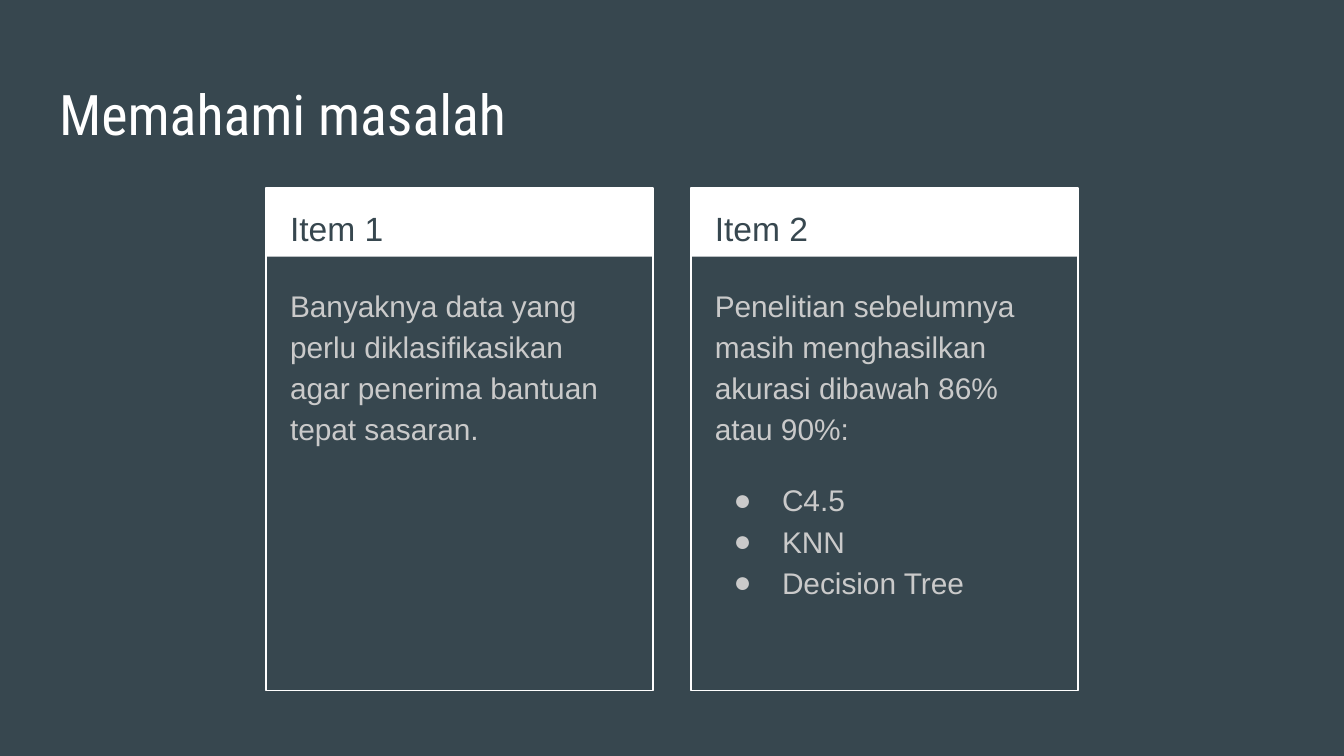
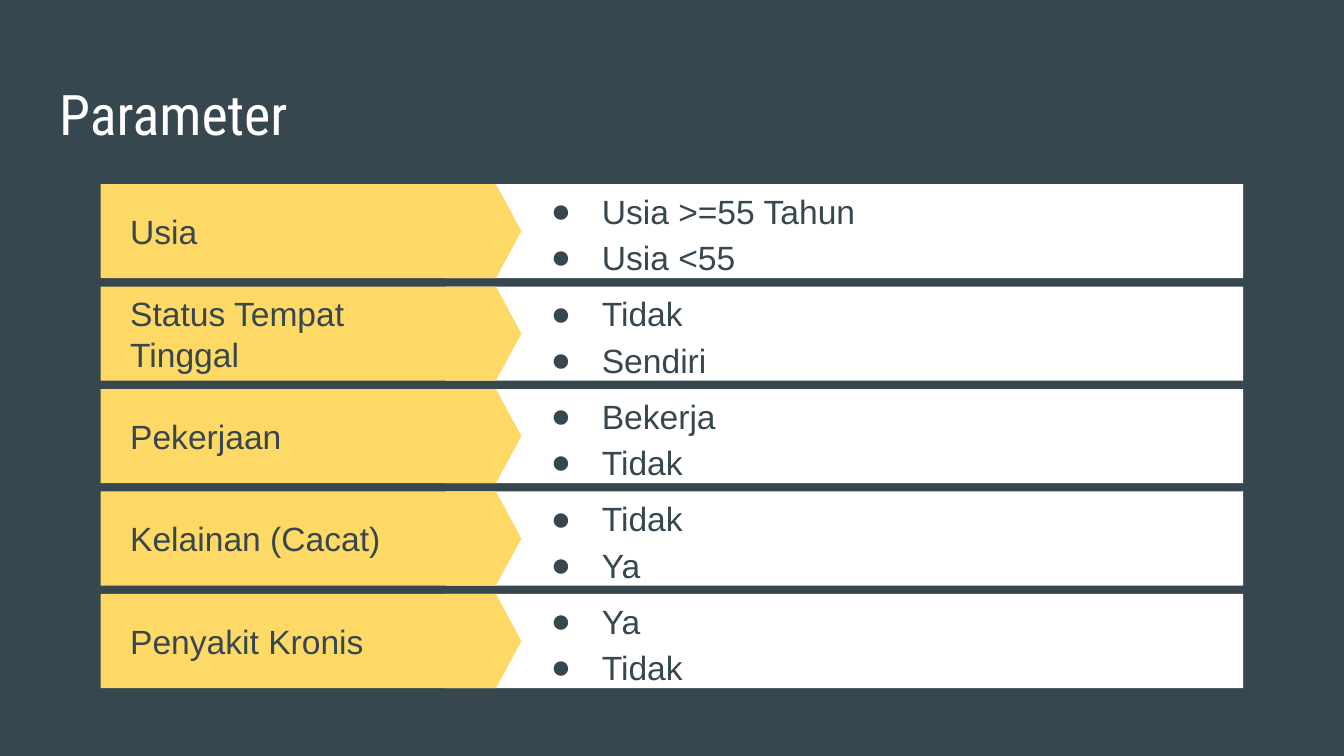
from dataclasses import dataclass

from lxml.etree import SubElement
from pptx import Presentation
from pptx.dml.color import RGBColor
from pptx.enum.shapes import MSO_SHAPE
from pptx.enum.text import MSO_ANCHOR, MSO_AUTO_SIZE, PP_ALIGN
from pptx.oxml.ns import qn
from pptx.util import Inches, Pt

# Shared look
COLORS = {"slate": "37474F", "white": "FFFFFF", "gray": "CACACA", "gold": "FFD966"}
HEAD, BODY = "Roboto Condensed", "Arial"
INSET = Inches(0.1)
WIDTH = Inches(10)
HEIGHT = WIDTH * 9 // 16

# Grids, in inches
CARD_X, CARD_STEP, CARD_Y, CARD_W = 1.98, 3.16, 1.4, 2.88
ROW_Y, ROW_H = 1.37, 0.7
ROW_STEP = (4.42 - ROW_Y) / 4


@dataclass
class Style:
    size: int
    color: str
    font: str = BODY
    space: float = 1.15
    hang: float = 0.38


@dataclass
class Card:
    head: str
    text: str
    items: tuple[str, ...] = ()


@dataclass
class Row:
    label: str
    items: tuple[str, ...]


TITLE = Style(30, "white", HEAD, 1.0)
CARD_HEAD = Style(18, "slate")
CARD_TEXT = Style(16, "gray", hang=0.36)
LABEL = Style(18, "slate", space=1.0)
VALUE = Style(18, "slate")

CARDS = [
    Card("Item 1", "Banyaknya data yang perlu diklasifikasikan agar penerima bantuan tepat sasaran."),
    Card("Item 2", "Penelitian sebelumnya masih menghasilkan akurasi dibawah 86% atau 90%:",
         ("C4.5", "KNN", "Decision Tree")),
]
ROWS = [
    Row("Usia", ("Usia >=55 Tahun", "Usia <55")),
    Row("Status Tempat Tinggal", ("Tidak", "Sendiri")),
    Row("Pekerjaan", ("Bekerja", "Tidak")),
    Row("Kelainan (Cacat)", ("Tidak", "Ya")),
    Row("Penyakit Kronis", ("Ya", "Tidak")),
]


def color(name: str) -> RGBColor:
    return RGBColor.from_string(COLORS[name])


def set_bullet(para, style: Style) -> None:
    props = para._p.get_or_add_pPr()
    props.set("marL", str(Inches(0.5)))
    props.set("indent", str(-Inches(style.hang)))
    tint = SubElement(props, qn("a:buClr"))
    SubElement(tint, qn("a:srgbClr"), val=COLORS[style.color])
    SubElement(props, qn("a:buFont"), typeface=style.font)
    SubElement(props, qn("a:buChar"), char="●")


def write(frame, style: Style, lines=(), items=(), anchor=MSO_ANCHOR.TOP) -> None:
    """Fill a frame with plain lines, then bulleted items."""
    frame.word_wrap = True
    frame.auto_size = MSO_AUTO_SIZE.NONE
    frame.vertical_anchor = anchor
    frame.margin_left = frame.margin_right = INSET
    frame.margin_top = frame.margin_bottom = INSET
    frame.text = "\n".join((*lines, *items))
    for i, para in enumerate(frame.paragraphs):
        para.alignment = PP_ALIGN.LEFT
        para.line_spacing = style.space
        para.space_before = Pt(16 if lines and i == len(lines) else 0)
        para.space_after = Pt(0)
        if i >= len(lines):
            set_bullet(para, style)
        for run in para.runs:
            run.font.name = style.font
            run.font.size = Pt(style.size)
            run.font.color.rgb = color(style.color)


def add_text(slide, x: float, y: float, w: float, h: float, style: Style, **text) -> None:
    box = slide.shapes.add_textbox(Inches(x), Inches(y), Inches(w), Inches(h))
    write(box.text_frame, style, **text)


def add_block(slide, x: float, y: float, w: float, h: float,
              fill: str = "", line: str = "", kind=MSO_SHAPE.RECTANGLE):
    block = slide.shapes.add_shape(kind, Inches(x), Inches(y), Inches(w), Inches(h))
    block.shadow.inherit = False
    if fill:
        block.fill.solid()
        block.fill.fore_color.rgb = color(fill)
    else:
        block.fill.background()
    if line:
        block.line.color.rgb = color(line)
        block.line.width = Pt(0.75)
    else:
        block.line.fill.background()
    return block


def add_slide(prs, title: str):
    slide = prs.slides.add_slide(prs.slide_layouts[5])
    head = slide.shapes.title
    head.left, head.top = Inches(0.34), Inches(0.49)
    head.width, head.height = Inches(9.32), Inches(0.63)
    write(head.text_frame, TITLE, lines=(title,))
    return slide


def add_card(slide, x: float, card: Card) -> None:
    add_block(slide, x, CARD_Y, CARD_W, 0.51, fill="white")
    add_block(slide, x, CARD_Y, CARD_W, 3.74, line="white")
    add_text(slide, x + 0.08, CARD_Y, 2.73, 0.5, CARD_HEAD, lines=(card.head,))
    add_text(slide, x + 0.08, CARD_Y + 0.6, 2.71, 3.06, CARD_TEXT,
             lines=(card.text,), items=card.items)


def add_row(slide, y: float, row: Row) -> None:
    add_block(slide, 3.32, y, 5.93, ROW_H, fill="white")
    arrow = add_block(slide, 0.75, y, 3.13, ROW_H, fill="gold", kind=MSO_SHAPE.PENTAGON)
    arrow.adjustments[0] = 0.27
    add_text(slide, 0.87, y, 2.48, ROW_H, LABEL, lines=(row.label,), anchor=MSO_ANCHOR.MIDDLE)
    add_text(slide, 3.88, y, 5.23, ROW_H, VALUE, items=row.items, anchor=MSO_ANCHOR.MIDDLE)


def main() -> None:
    prs = Presentation()
    prs.slide_width, prs.slide_height = WIDTH, HEIGHT
    back = prs.slide_master.background.fill
    back.solid()
    back.fore_color.rgb = color("slate")

    # Problem cards
    slide = add_slide(prs, "Memahami masalah")
    for i, card in enumerate(CARDS):
        add_card(slide, CARD_X + i * CARD_STEP, card)

    # Parameter rows
    slide = add_slide(prs, "Parameter")
    for i, row in enumerate(ROWS):
        add_row(slide, ROW_Y + i * ROW_STEP, row)

    prs.save("out.pptx")


if __name__ == "__main__":
    main()
